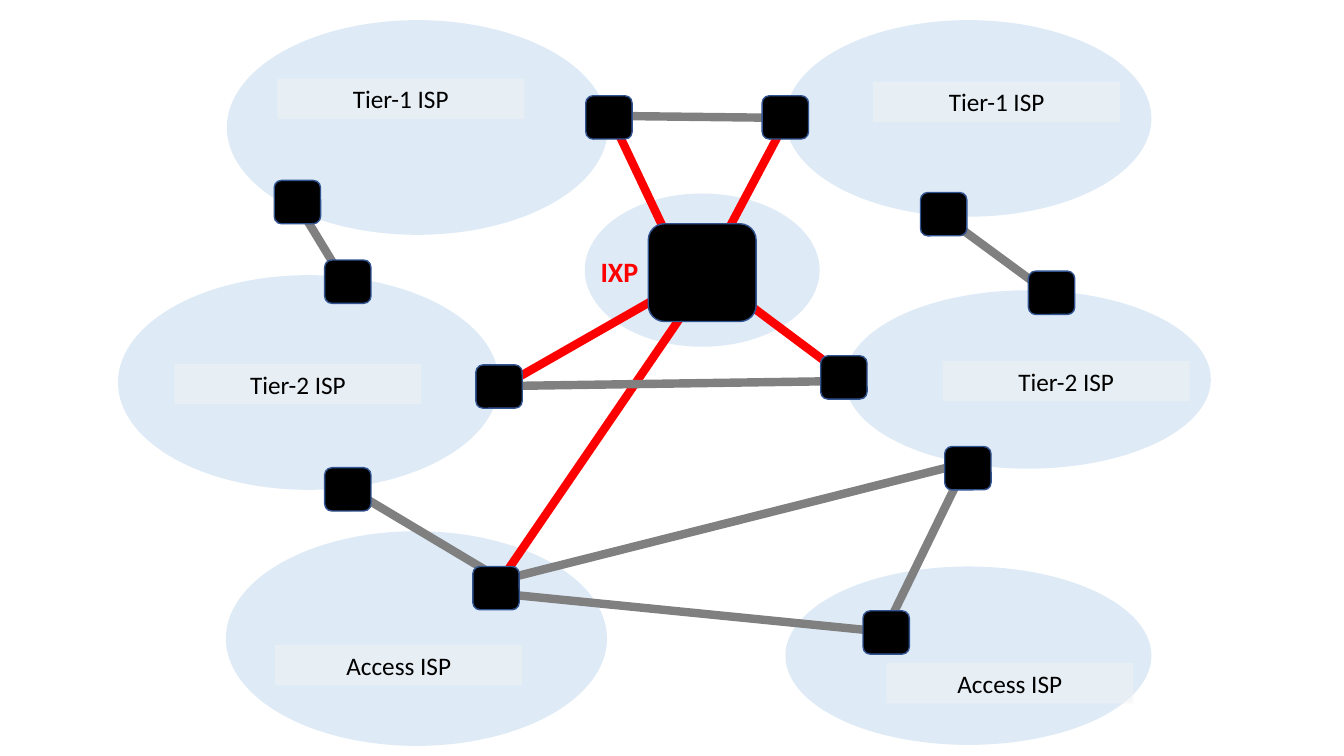
from dataclasses import dataclass

from lxml import etree
from pptx import Presentation
from pptx.dml.color import RGBColor
from pptx.enum.shapes import MSO_CONNECTOR, MSO_SHAPE
from pptx.enum.text import PP_ALIGN
from pptx.oxml.ns import qn
from pptx.util import Inches, Pt

OVAL, RECTANGLE, ROUNDED = MSO_SHAPE.OVAL, MSO_SHAPE.RECTANGLE, MSO_SHAPE.ROUNDED_RECTANGLE
STRAIGHT = MSO_CONNECTOR.STRAIGHT
CENTER, RIGHT = PP_ALIGN.CENTER, PP_ALIGN.RIGHT


@dataclass(frozen=True)
class Theme:
    network: str = "DEEBF7"
    label: str = "F2F2F2"
    label_opacity: int = 48
    router: str = "000000"
    router_edge: str = "325491"
    private_link: str = "808080"
    exchange_link: str = "FF0000"
    text: str = "000000"
    font: str = "Calibri"
    label_size: int = 18
    exchange_size: int = 20
    link_width: int = 6


THEME = Theme()
ROUTER_SIZE = (0.46, 0.43)
LABEL_SIZE = (2.45, 0.4)

# Name, box, label offset and router offsets from the top left of the box
PROVIDERS = [
    ("Access ISP", (2.24, 5.27, 3.78, 2.13), (0.49, 1.13), [(2.45, 0.35)]),
    ("Access ISP", (7.79, 5.62, 3.63, 1.77), (1.0, 0.96), [(0.77, 0.44)]),
    ("Tier-2 ISP", (1.17, 2.73, 3.78, 2.13), (0.56, 0.88),
     [(3.55, 0.89), (2.05, 1.91), (2.05, -0.15)]),
    ("Tier-2 ISP", (8.38, 2.88, 3.63, 1.77), (0.97, 0.7),
     [(-0.24, 0.65), (0.99, 1.55), (1.82, -0.19)]),
    ("Tier-1 ISP", (2.25, 0.2, 3.78, 2.13), (0.5, 0.58),
     [(3.56, 0.75), (0.47, 1.59)]),
    ("Tier-1 ISP", (7.79, 0.2, 3.63, 1.95), (0.87, 0.61),
     [(-0.23, 0.75), (1.34, 1.71)]),
]
EXCHANGE_BOX = (5.8, 1.92, 2.33, 1.52)

EXCHANGE_LINKS = [
    ((7.1, 2.51), (7.79, 1.21)),
    ((6.73, 2.58), (6.09, 1.23)),
    ((4.9, 3.88), (6.72, 2.84)),
    ((8.35, 3.71), (7.2, 2.85)),
    ((4.91, 5.84), (6.94, 2.87)),
]
PRIVATE_LINKS = [
    ((4.87, 5.88), (8.79, 6.27)),
    ((4.99, 3.83), (8.38, 3.78)),
    ((3.45, 4.84), (4.99, 5.76)),
    ((8.79, 6.23), (9.59, 4.59)),
    ((4.95, 5.76), (9.59, 4.59)),
    ((6.08, 1.15), (7.79, 1.17)),
    ((3.45, 2.85), (2.94, 2.01)),
    ((9.37, 2.15), (10.43, 2.93)),
]


def color(value):
    return RGBColor.from_string(value)


def inside(box, offset, size):
    """Return the box of the given size at an offset within another box."""
    return (box[0] + offset[0], box[1] + offset[1], *size)


def add_filled_shape(slide, kind, box, fill, edge=None):
    shape = slide.shapes.add_shape(kind, *map(Inches, box))
    shape.shadow.inherit = False
    shape.fill.solid()
    shape.fill.fore_color.rgb = color(fill)
    if edge:
        shape.line.color.rgb = color(edge)
        shape.line.width = Pt(1)
    else:
        shape.line.fill.background()
    return shape


def write_text(shape, text, alignment, text_color, **font_values):
    shape.text_frame.word_wrap = True
    paragraph = shape.text_frame.paragraphs[0]
    paragraph.text = text
    paragraph.alignment = alignment
    font = paragraph.runs[0].font
    font.color.rgb = color(text_color)
    for name, value in {"name": THEME.font, **font_values}.items():
        setattr(font, name, value)


def add_network(slide, box):
    add_filled_shape(slide, OVAL, box, THEME.network)


def add_links(slide, links, link_color):
    for start, end in links:
        link = slide.shapes.add_connector(STRAIGHT, *map(Inches, (*start, *end)))
        link.line.color.rgb = color(link_color)
        link.line.width = Pt(THEME.link_width)
        etree.SubElement(link._element.spPr, qn("a:effectLst"))


def add_router(slide, box):
    add_filled_shape(slide, ROUNDED, box, THEME.router, THEME.router_edge)


def add_label(slide, box, text):
    label = add_filled_shape(slide, RECTANGLE, box, THEME.label)
    fill_color = label._element.spPr.find(qn("a:solidFill"))[0]
    etree.SubElement(fill_color, qn("a:alpha"), val=str(THEME.label_opacity * 1000))
    write_text(label, text, CENTER, THEME.text, size=Pt(THEME.label_size))


def add_provider_equipment(slide, name, box, label_offset, router_offsets):
    for offset in router_offsets:
        add_router(slide, inside(box, offset, ROUTER_SIZE))
    add_label(slide, inside(box, label_offset, LABEL_SIZE), name)


def add_exchange_equipment(slide, box):
    add_router(slide, inside(box, (0.63, 0.3), (1.07, 0.97)))
    name_box = inside(box, (-0.07, 0.56), (0.7, 0.44))
    name = slide.shapes.add_textbox(*map(Inches, name_box))
    write_text(name, "IXP", RIGHT, THEME.exchange_link,
               size=Pt(THEME.exchange_size), bold=True)


def build_topology(slide):
    for _, box, _, _ in PROVIDERS:
        add_network(slide, box)
    add_network(slide, EXCHANGE_BOX)
    add_links(slide, EXCHANGE_LINKS, THEME.exchange_link)
    add_links(slide, PRIVATE_LINKS, THEME.private_link)
    for provider in PROVIDERS:
        add_provider_equipment(slide, *provider)
    add_exchange_equipment(slide, EXCHANGE_BOX)


def main():
    presentation = Presentation()
    presentation.slide_width = Inches(13.33)
    presentation.slide_height = Inches(7.5)
    blank_layout = presentation.slide_layouts[6]
    build_topology(presentation.slides.add_slide(blank_layout))
    presentation.save("out.pptx")


if __name__ == "__main__":
    main()
